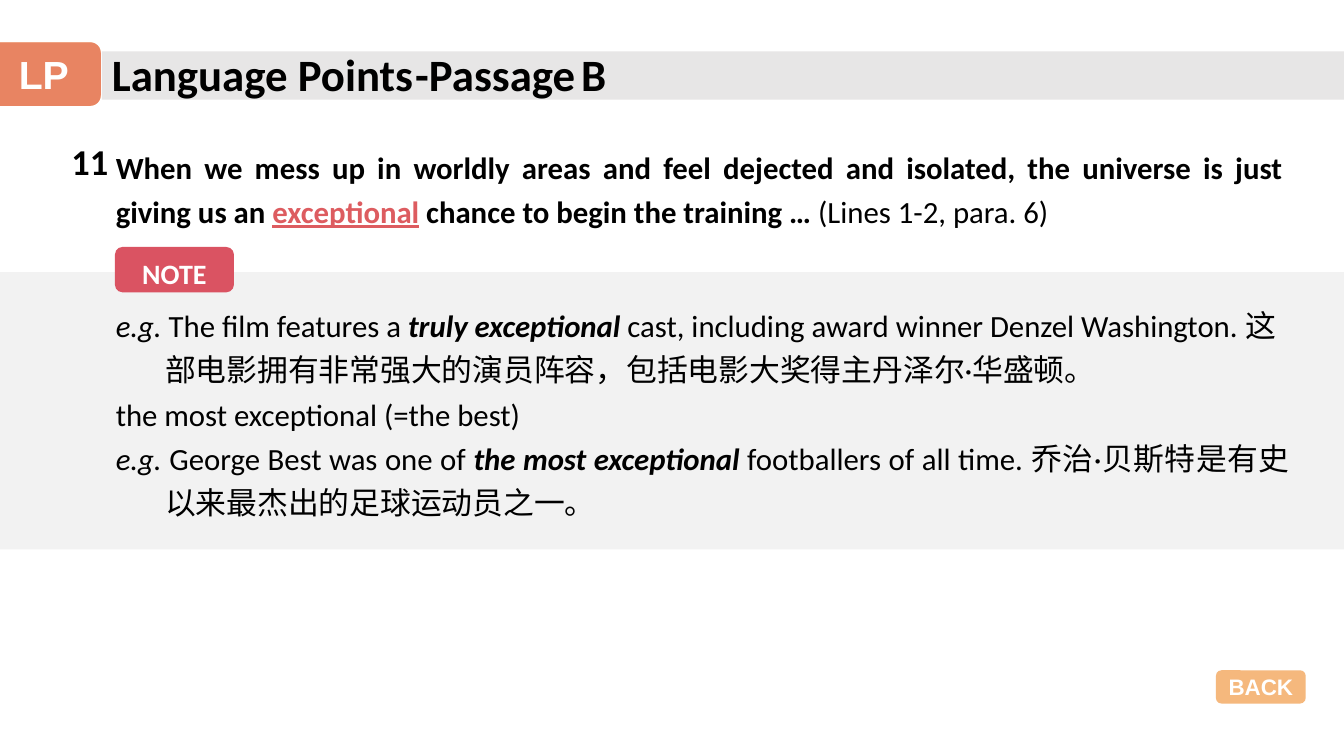
from lxml import etree
from pptx import Presentation
from pptx.dml.color import RGBColor
from pptx.enum.shapes import MSO_SHAPE
from pptx.enum.text import MSO_ANCHOR, MSO_AUTO_SIZE, PP_ALIGN
from pptx.oxml.ns import qn
from pptx.util import Inches, Pt

RECT, ROUNDED = MSO_SHAPE.RECTANGLE, MSO_SHAPE.ROUNDED_RECTANGLE
LEFT, CENTER, JUSTIFY = PP_ALIGN.LEFT, PP_ALIGN.CENTER, PP_ALIGN.JUSTIFY
TOP, MIDDLE = MSO_ANCHOR.TOP, MSO_ANCHOR.MIDDLE
GROW, FIXED = MSO_AUTO_SIZE.SHAPE_TO_FIT_TEXT, MSO_AUTO_SIZE.NONE

BLACK = RGBColor(0x00, 0x00, 0x00)
WHITE = RGBColor(0xFF, 0xFF, 0xFF)
ORANGE = RGBColor(0xF1, 0x9B, 0x48)
CORAL = RGBColor(0xE4, 0x70, 0x57)
RED = RGBColor(0xDA, 0x53, 0x62)
KEYWORD_RED = RGBColor(0xDD, 0x5C, 0x60)
HEADER_GREY = RGBColor(0xE7, 0xE6, 0xE6)
PANEL_GREY = RGBColor(0xF2, 0xF2, 0xF2)

SLIDE_W, SLIDE_H = 13.33, 7.5
HEADING_TOP, HEADING_H = 0.41, 0.64
TEXT_LEFT = 1.05
HANG = 0.49
BADGE_ALPHA = 71

PLAIN = {}
BOLD = {"bold": True}
ITALIC = {"italic": True}
STRONG = {"bold": True, "italic": True}
KEYWORD = {"bold": True, "underline": True, "color": KEYWORD_RED}

HEADING = "Language Points"
PASSAGE = [([("-Passage", BOLD), (" ", {"size": 18}), ("B", BOLD)], 0, 0)]
POINT_NUMBER = "11"

SENTENCE = [([
    ("When we mess up in worldly areas and feel dejected and isolated, "
     "the universe is just giving us an ", BOLD),
    ("exceptional", KEYWORD),
    (" chance to begin the training … ", BOLD),
    ("(Lines 1-2, para. 6)", PLAIN),
], 0, 0)]

EXAMPLES = [
    ([("e.g. ", ITALIC),
      ("The film features a ", PLAIN),
      ("truly exceptional ", STRONG),
      ("cast, including award winner Denzel Washington. 这", PLAIN)], 0, 0),
    ([("部电影拥有非常强大的演员阵容，包括电影大奖得主丹泽尔·华盛顿。", PLAIN)], HANG, 0),
    ([("the most exceptional (=the best)", PLAIN)], 0, 0),
    ([("e.g. ", ITALIC),
      ("George Best was one of ", PLAIN),
      ("the most exceptional ", STRONG),
      ("footballers of all time. 乔治·贝斯特是有史以来最杰出的足球运动员之一。", PLAIN)],
     HANG, -HANG),
]


def write(shape, content, size=22, font="Calibri", color=BLACK, bold=False,
          align=LEFT, anchor=TOP, spacing=1.0, fit=GROW):
    paragraphs = [([(content, {"bold": bold})], 0, 0)] if isinstance(content, str) else content
    frame = shape.text_frame
    frame.word_wrap = True
    frame.auto_size = fit
    frame.vertical_anchor = anchor
    for index, (runs, margin, indent) in enumerate(paragraphs):
        paragraph = frame.add_paragraph() if index else frame.paragraphs[0]
        paragraph.alignment = align
        paragraph.line_spacing = spacing
        properties = paragraph._p.get_or_add_pPr()
        properties.set("marL", str(Inches(margin)))
        properties.set("indent", str(Inches(indent)))
        for words, style in runs:
            run = paragraph.add_run()
            run.text = words
            run.font.name = font
            run.font.size = Pt(style.get("size", size))
            run.font.bold = style.get("bold", False)
            run.font.italic = style.get("italic", False)
            run.font.underline = style.get("underline", False)
            run.font.color.rgb = style.get("color", color)


def add_block(slide, kind, box, fill, alpha=100):
    block = slide.shapes.add_shape(kind, *map(Inches, box))
    block.shadow.inherit = False
    block.line.fill.background()
    block.fill.solid()
    block.fill.fore_color.rgb = fill
    if alpha < 100:
        tint = block._element.spPr.find(qn("a:solidFill"))[0]
        etree.SubElement(tint, qn("a:alpha")).set("val", str(alpha * 1000))
    return block


def add_badge(slide, label, box, fill, alpha=100, **style):
    badge = add_block(slide, ROUNDED, box, fill, alpha)
    write(badge, label, color=WHITE, bold=True, align=CENTER, anchor=MIDDLE, fit=FIXED, **style)


def add_text(slide, content, box, **style):
    write(slide.shapes.add_textbox(*map(Inches, box)), content, **style)


def main():
    deck = Presentation()
    deck.slide_width, deck.slide_height = Inches(SLIDE_W), Inches(SLIDE_H)
    slide = deck.slides.add_slide(deck.slide_layouts[5])

    section_box = (-0.13, 0.42, 1.13, 0.63)
    add_block(slide, ROUNDED, section_box, ORANGE, BADGE_ALPHA)
    add_block(slide, RECT, (1.01, 0.51, SLIDE_W - 1.01, 0.48), HEADER_GREY)

    heading = slide.shapes.title
    heading.left, heading.top = Inches(1.01), Inches(HEADING_TOP)
    heading.width, heading.height = Inches(4.85), Inches(HEADING_H)
    write(heading, HEADING, size=32, bold=True)
    slide.shapes._spTree.append(heading._element)

    add_text(slide, POINT_NUMBER, (0.61, 1.33, 0.63, 0.54), size=26, bold=True)
    add_badge(slide, "LP", section_box, CORAL, BADGE_ALPHA, size=28, font="Arial")
    add_text(slide, SENTENCE, (TEXT_LEFT, 1.35, 11.77, 0.96), align=JUSTIFY, spacing=1.2)

    add_block(slide, RECT, (0, 2.7, SLIDE_W, 2.75), PANEL_GREY)
    add_text(slide, EXAMPLES, (TEXT_LEFT, 2.92, 11.84, 2.29), align=JUSTIFY, spacing=1.2)
    add_badge(slide, "NOTE", (1.14, 2.45, 1.18, 0.45), RED, size=20, spacing=1.2)
    add_badge(slide, "BACK", (12.06, 6.65, 0.89, 0.33), ORANGE, BADGE_ALPHA,
              size=16, font="Arial")
    add_text(slide, PASSAGE, (4.02, HEADING_TOP, 2.47, HEADING_H), size=32)

    deck.save("out.pptx")


if __name__ == "__main__":
    main()
